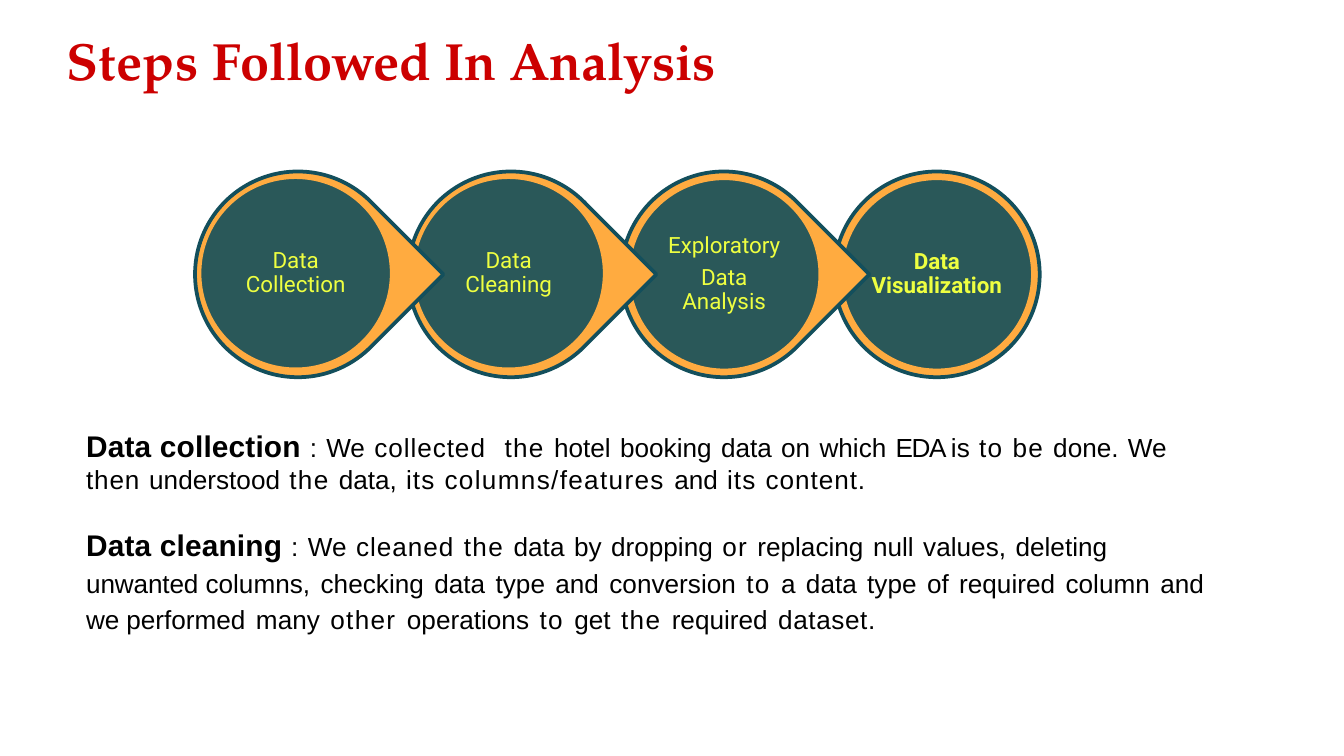
from dataclasses import dataclass
from itertools import groupby

from lxml import etree
from pptx import Presentation
from pptx import util as u
from pptx.dml.color import RGBColor
from pptx.enum import shapes, text
from pptx.oxml.ns import qn


@dataclass(frozen=True)
class Theme:
    title_font: str = "TeX Gyre Pagella"
    body_font: str = "Arial"
    label_font: str = "Roboto"
    red: str = "CC0000"
    black: str = "000000"
    teal: str = "134F5C"
    orange: str = "FFAB40"
    lime: str = "EEFF41"
    title_size: int = 28
    heading_size: int = 16
    body_size: int = 14
    label_size: int = 12


THEME = Theme()
RING = 110.2
DISC = 103
LABEL = 73.5
PITCH = 114.1
FIRST_CENTER = 159.6
MIDDLE = 147

STEPS = [
    (["Data Collection"], -1.2, -0.6),
    (["Data Cleaning"], -1.2, -0.6),
    (["Exploratory", "Data Analysis"], 0.2, 0),
    (["Data Visualization"], 0, 0),
]

TITLE = [("Steps ", 0.3), ("Followed", -0.1), (" In ", 0), ("Analysis", -0.1)]

COLLECTION = [
    (1, [
        (": We ", 0), ("collected  ", 0.5), ("the ", 0.7), ("hotel booking data on which ", 0),
        ("EDA ", -0.8), ("is ", 0), ("to ", 0.7), ("be ", 0.6), ("done. We ", 0),
    ]),
    (0.9, [
        ("then ", 0.4), ("understood ", 0), ("the ", 0.7), ("data, ", 0), ("its ", 0.6),
        ("columns/features ", 0.7), ("and ", 0), ("its ", 0.6), ("content.", 0.5),
    ]),
]

CLEANING = [
    (1.1, [
        (": We ", 0), ("cleaned ", 0.5), ("the ", 0.7), ("data by dropping ", 0),
        ("or ", 0.6), ("replacing null values, deleting ", 0),
    ]),
    (1.6, [
        ("unwanted ", -0.1), ("columns, checking data type and conversion ", 0), ("to ", 0.7),
        ("a data type of required column and ", 0), ("we ", -0.2), ("performed many ", 0),
        ("other ", 0.7), ("operations ", 0), ("to ", 0.7), ("get ", 0), ("the ", 0.7),
        ("required ", 0), ("dataset.", 0.3),
    ]),
]


def add_span(para, words, *, font, size, color, bold=False, spacing=0):
    span = para.add_run()
    span.text = words
    span.font.name = font
    span.font.size = u.Pt(size)
    span.font.bold = bold
    span.font.color.rgb = RGBColor.from_string(color)
    if spacing:
        span._r.get_or_add_rPr().set("spc", str(round(spacing * 100)))


class Sketch:
    """Holds the theme and the current slide and adds elements to it."""

    def __init__(self, theme, page):
        self.theme = theme
        self.page = page

    def group(self):
        return self.page.shapes.add_group_shape()

    def text_box(self, parent, left, top, width, height, insets, anchor=text.MSO_ANCHOR.TOP):
        box = parent.add_textbox(u.Pt(left), u.Pt(top), u.Pt(width), u.Pt(height))
        frame = box.text_frame
        frame.word_wrap = True
        frame.vertical_anchor = anchor
        frame.margin_left, frame.margin_top, frame.margin_right, frame.margin_bottom = map(u.Pt, insets)
        return frame

    def title(self, spans):
        frame = self.text_box(self.page.shapes, 35.7, 9.4, 660, 41, (0, 5.8, 0, 0))
        para = frame.paragraphs[0]
        para.space_before = u.Pt(1)
        for words, spacing in spans:
            add_span(para, words, font=self.theme.title_font, size=self.theme.title_size,
                     color=self.theme.red, bold=True, spacing=spacing)

    def passage(self, para, heading, sections, *, before, line=1.0):
        para.space_before = u.Pt(before)
        para.line_spacing = line
        style = dict(font=self.theme.body_font, color=self.theme.black)
        add_span(para, heading, size=self.theme.heading_size, bold=True, spacing=0.1, **style)
        for gap, spans in sections:
            for words, spacing in spans:
                for blank, letters in groupby(words, str.isspace):
                    add_span(para, "".join(letters), size=self.theme.body_size,
                             spacing=gap if blank and spacing >= 0 else spacing, **style)

    def round_shape(self, parent, kind, center, middle, size, fill, line, *, rotation=0, opacity=100):
        shape = parent.add_shape(kind, u.Pt(center - size / 2), u.Pt(middle - size / 2),
                                 u.Pt(size), u.Pt(size))
        shape.shadow.inherit = False
        shape.rotation = rotation
        shape.fill.solid()
        shape.fill.fore_color.rgb = RGBColor.from_string(fill)
        shape.line.color.rgb = RGBColor.from_string(line)
        shape.line.width = u.Pt(2)
        if opacity < 100:
            color = shape._element.spPr.find(qn("a:solidFill")).find(qn("a:srgbClr"))
            etree.SubElement(color, qn("a:alpha")).set("val", str(opacity * 1000))

    def label(self, parent, center, middle, lines, bold):
        frame = self.text_box(parent, center - LABEL / 2, middle - LABEL / 2, LABEL, LABEL,
                              (1.2,) * 4, text.MSO_ANCHOR.MIDDLE)
        for index, words in enumerate(lines):
            para = frame.add_paragraph() if index else frame.paragraphs[0]
            para.alignment = text.PP_ALIGN.CENTER
            para.line_spacing = 0.9
            para.space_after = u.Pt(4.2)
            add_span(para, words, font=self.theme.label_font, size=self.theme.label_size,
                     color=self.theme.lime, bold=bold)

    def step(self, parent, center, lines, shift, lift, last):
        kinds = shapes.MSO_SHAPE
        theme = self.theme
        self.round_shape(parent, kinds.OVAL if last else kinds.TEAR, center, MIDDLE, RING,
                         theme.orange, theme.teal, rotation=0 if last else 45)
        center, middle = center + shift, MIDDLE + lift
        self.round_shape(parent, kinds.OVAL, center, middle, DISC,
                         theme.teal, theme.orange, opacity=90)
        self.label(parent, center, middle, lines, bold=last)


def main():
    deck = Presentation()
    deck.slide_width, deck.slide_height = u.Pt(720), u.Pt(405)
    sketch = Sketch(THEME, deck.slides.add_slide(deck.slide_layouts[6]))
    sketch.title(TITLE)

    frame = sketch.text_box(sketch.page.shapes, 45.5, 228.6, 605.5, 111.6, (0.7, 0.7, 0, 0))
    sketch.passage(frame.paragraphs[0], "Data collection ", COLLECTION, before=1)
    sketch.passage(frame.add_paragraph(), "Data cleaning ", CLEANING, before=14.2, line=1.15)

    chain = sketch.group().shapes
    final = len(STEPS) - 1
    for index, (lines, shift, lift) in reversed(list(enumerate(STEPS))):
        sketch.step(chain, FIRST_CENTER + index * PITCH, lines, shift, lift, index == final)
    deck.save("out.pptx")


if __name__ == "__main__":
    main()
